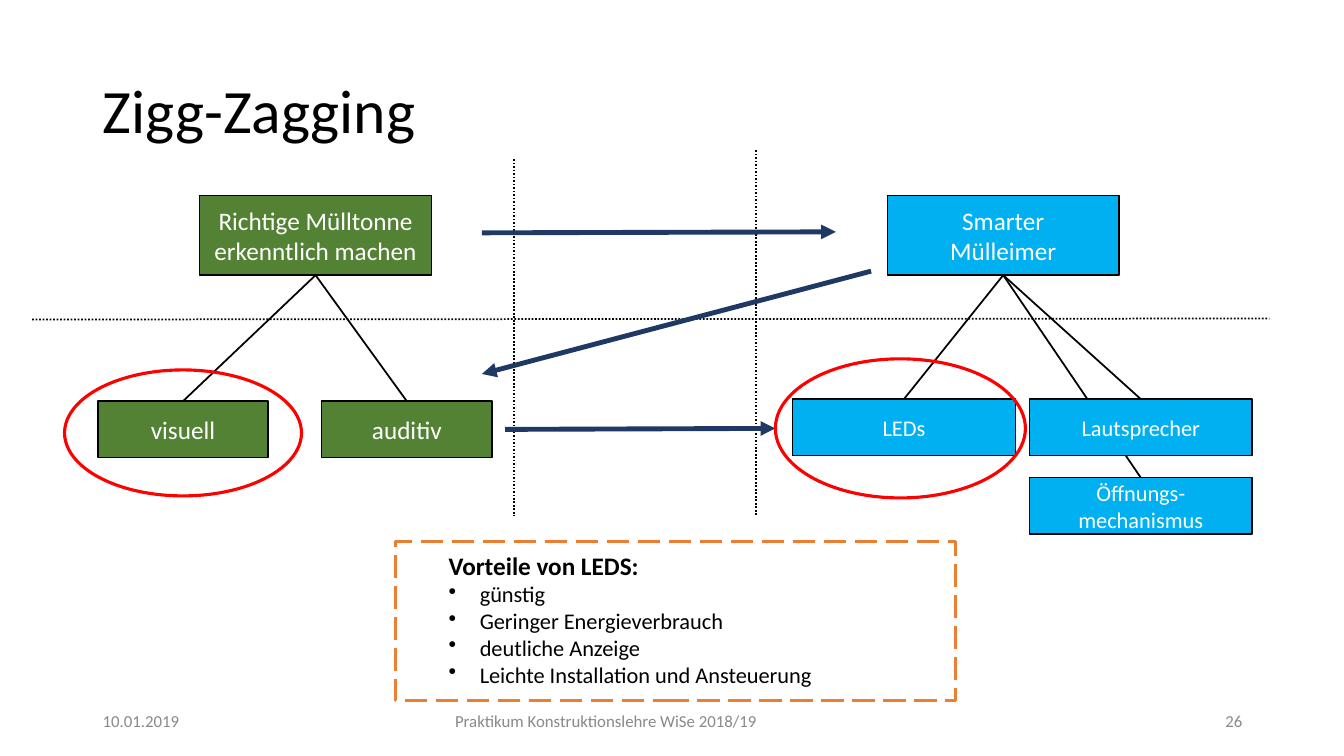
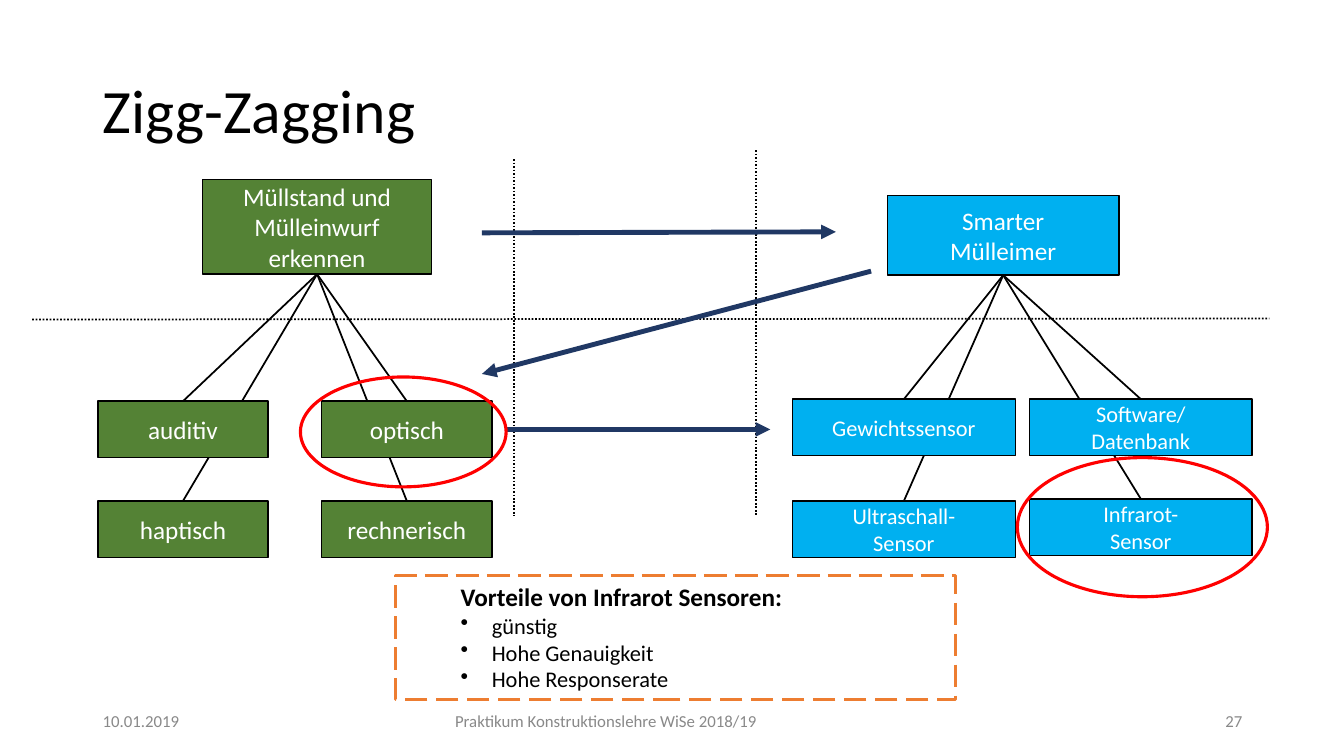
from lxml import etree
from pptx import Presentation
from pptx import util as u
from pptx.dml.color import RGBColor
from pptx.enum import dml, shapes, text
from pptx.oxml.ns import qn

hues = {"black": "000000", "white": "FFFFFF", "gray": "898989", "green": "548235",
        "blue": "00B0F0", "navy": "203864", "red": "FF0000", "orange": "ED7D31"}
hues = {name: RGBColor.from_string(code) for name, code in hues.items()}
left, mid, right = text.PP_ALIGN.LEFT, text.PP_ALIGN.CENTER, text.PP_ALIGN.RIGHT
forms = shapes.MSO_SHAPE

bin_root = ("Smarter\nMülleimer", (8.8, 1.94, 2.3, 0.79))
cols = {"green": (0.97, 3.19), "blue": (7.86, 10.21)}
wide = {"green": 1.69, "blue": 2.21}
sizes = {"green": 18, "blue": 16}

pages = [
    {"num": 26,
     "trees": {
         "green": [("Richtige Mülltonne erkenntlich machen", (1.98, 1.94, 2.3, 0.79)),
                   ("visuell", 0, 3.98), ("auditiv", 1, 3.98)],
         "blue": [bin_root, ("LEDs", 0, 3.96), ("Lautsprecher", 1, 3.96),
                  ("Öffnungs-mechanismus", 1, 4.74)]},
     "rings": [(0.64, 3.67, 2.35, 1.25), (7.69, 3.56, 2.48, 1.38)],
     "tip": (7.69, 4.25),
     "frame": (3.92, 5.37, 5.56, 1.58),
     "note": (4.35, 5.41, 4.69, 1.48),
     "list": ["Vorteile von LEDS:", "günstig", "Geringer Energieverbrauch",
              "deutliche Anzeige", "Leichte Installation und Ansteuerung"]},
    {"num": 27,
     "trees": {
         "green": [("Müllstand und Mülleinwurf erkennen", (2.01, 1.78, 2.27, 0.94)),
                   ("auditiv", 0, 3.98), ("optisch", 1, 3.98),
                   ("haptisch", 0, 4.97), ("rechnerisch", 1, 4.97)],
         "blue": [bin_root, ("Gewichtssensor", 0, 3.96), ("Software/\nDatenbank", 1, 3.96),
                  ("Ultraschall-\nSensor", 0, 4.97), ("Infrarot-\nSensor", 1, 4.95)]},
     "rings": [(2.98, 3.74, 2.04, 1.09), (10.09, 4.54, 2.48, 1.38)],
     "tip": (7.64, 4.26),
     "frame": (3.92, 5.71, 5.56, 1.23),
     "note": (4.47, 5.72, 4.69, 1.21),
     "list": ["Vorteile von Infrarot Sensoren:", "günstig", "Hohe Genauigkeit",
              "Hohe Responserate"]},
]


def write(box, words, size, hue, align, anchor=text.MSO_ANCHOR.MIDDLE):
    frame = box.text_frame
    frame.text = words
    frame.word_wrap = True
    frame.vertical_anchor = anchor
    for para in frame.paragraphs:
        para.alignment = align
        para.font.name = "Calibri"
        para.font.size = u.Pt(size)
        para.font.color.rgb = hues[hue]


def wire(slide, start, end, hue, width):
    ends = [u.Inches(n) for n in start + end]
    line = slide.shapes.add_connector(shapes.MSO_CONNECTOR.STRAIGHT, *ends)
    line.line.color.rgb = hues[hue]
    line.line.width = u.Pt(width)
    etree.SubElement(line.element.spPr, qn("a:effectLst"))
    return line


prs = Presentation()
prs.slide_width, prs.slide_height = u.Inches(13.33), u.Inches(7.5)

for page in pages:
    slide = prs.slides.add_slide(prs.slide_layouts[5])
    title = slide.shapes.title
    title.left, title.top, title.width, title.height = map(u.Inches, (0.92, 0.4, 11.5, 1.45))
    write(title, "Zigg-Zagging", 44, "black", left)
    title.text_frame.paragraphs[0].line_spacing = 0.9

    for words, x, w, align in [("10.01.2019", 0.92, 3, left),
                               ("Praktikum Konstruktionslehre WiSe 2018/19", 2.69, 6.64, mid),
                               (str(page["num"]), 9.42, 3, right)]:
        foot = slide.shapes.add_textbox(*map(u.Inches, (x, 6.95, w, 0.4)))
        write(foot, words, 12, "gray", align)

    for start, end in [((7.5, 1.49), (7.5, 5.12)), ((5.1, 1.58), (5.1, 5.12)),
                       ((0.32, 3.17), (12.59, 3.16))]:
        guide = wire(slide, start, end, "black", 1.25)
        guide.line.dash_style = dml.MSO_LINE.ROUND_DOT

    for hue, (root, *kids) in page["trees"].items():
        nodes = [(*root, 18)]
        for words, col, y in kids:
            nodes.append((words, (cols[hue][col], y, wide[hue], 0.56), sizes[hue]))
        boxes = []
        for words, spot, size in nodes:
            box = slide.shapes.add_shape(forms.RECTANGLE, *map(u.Inches, spot))
            box.shadow.inherit = False
            box.fill.solid()
            box.fill.fore_color.rgb = hues[hue]
            box.line.color.rgb = hues["black"]
            box.line.width = u.Pt(1)
            write(box, words, size, "white", mid)
            boxes.append(box)
        top = boxes[0]
        for box in boxes[1:]:
            branch = wire(slide, (0, 0), (1, 1), "black", 1.25)
            branch.begin_connect(top, 2)
            branch.end_connect(box, 0)
            top.element.addprevious(branch.element)

    for start, end in [((4.78, 2.31), (8.29, 2.3)), ((8.64, 2.69), (4.78, 3.71)),
                       ((5.01, 4.26), page["tip"])]:
        arrow = wire(slide, start, end, "navy", 3.5)
        etree.SubElement(arrow.line._get_or_add_ln(), qn("a:tailEnd"), type="triangle")

    marks = [(forms.OVAL, ring, "red", 2.25) for ring in page["rings"]]
    marks.append((forms.RECTANGLE, page["frame"], "orange", 2))
    for form, spot, hue, width in marks:
        mark = slide.shapes.add_shape(form, *map(u.Inches, spot))
        mark.shadow.inherit = False
        mark.fill.background()
        mark.line.color.rgb = hues[hue]
        mark.line.width = u.Pt(width)
    mark.line.dash_style = dml.MSO_LINE.LONG_DASH

    note = slide.shapes.add_textbox(*map(u.Inches, page["note"]))
    write(note, "\n".join(page["list"]), 16, "black", left, text.MSO_ANCHOR.TOP)
    head, *items = note.text_frame.paragraphs
    head.font.size = u.Pt(18)
    head.font.bold = True
    for item in items:
        props = item._p.get_or_add_pPr()
        props.set("marL", str(u.Inches(0.31)))
        props.set("indent", str(-u.Inches(0.31)))
        bullet = etree.Element(qn("a:buChar"), char="•")
        props.insert(0, bullet)

prs.save("out.pptx")
